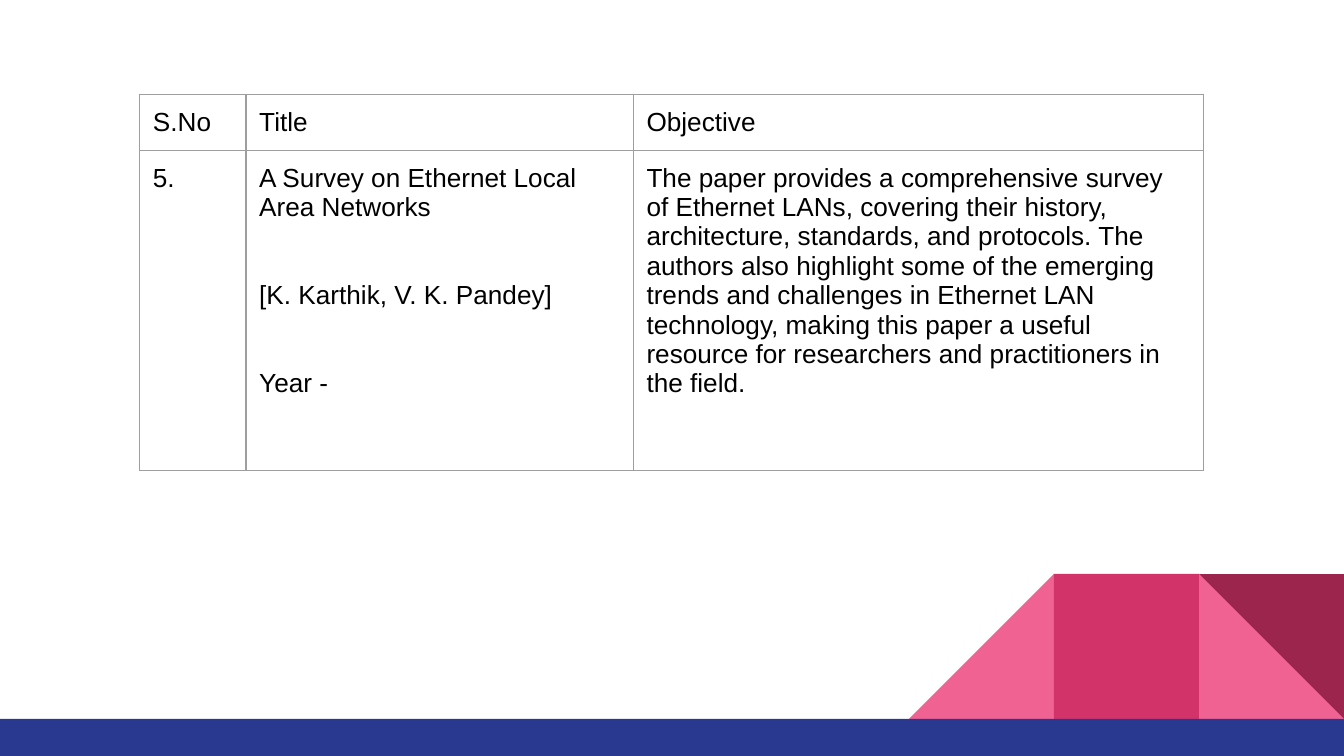
"""Build a literature survey slide with a paper table and a geometric footer."""
from dataclasses import dataclass

from lxml import etree
from pptx import Presentation
from pptx.dml.color import RGBColor
from pptx.enum.shapes import MSO_SHAPE
from pptx.oxml.ns import qn
from pptx.util import Cm, Pt

RECTANGLE = MSO_SHAPE.RECTANGLE
TRIANGLE = MSO_SHAPE.RIGHT_TRIANGLE

SLIDE_WIDTH, SLIDE_HEIGHT = 25.4, 14.29
TILE = 2.74
FLOOR_TOP = 13.59
TILE_TOP = FLOOR_TOP - TILE
TABLE_LEFT, TABLE_TOP = 2.64, 1.78
COLUMN_WIDTHS = (2.01, 7.32, 10.77)
ROW_HEIGHTS = (1.06, 6.05)
CELL_MARGIN = 0.25
FONT, FONT_SIZE = "Arial", 14
PARAGRAPH_GAP = 31.5
TEXT_COLOUR, BORDER_COLOUR = "000000", "9E9E9E"
BORDER_WIDTH = 0.75

PAPERS = (
    (("S.No",), ("Title",), ("Objective",)),
    (
        ("5.",),
        (
            "A Survey on Ethernet Local Area Networks",
            "[K. Karthik, V. K. Pandey]",
            "Year -",
        ),
        (
            "The paper provides a comprehensive survey of Ethernet LANs, covering "
            "their history, architecture, standards, and protocols. The authors also "
            "highlight some of the emerging trends and challenges in Ethernet LAN "
            "technology, making this paper a useful resource for researchers and "
            "practitioners in the field.",
        ),
    ),
)


@dataclass(frozen=True)
class Block:
    """A filled footer shape, measured in centimetres."""

    kind: int
    colour: str
    left: float
    top: float = TILE_TOP
    width: float = TILE
    height: float = TILE
    rotation: int = 0


BLOCKS = (
    Block(TRIANGLE, "F06292", SLIDE_WIDTH - TILE),
    Block(TRIANGLE, "F06292", SLIDE_WIDTH - 3 * TILE, rotation=270),
    Block(RECTANGLE, "D23369", SLIDE_WIDTH - 2 * TILE),
    Block(TRIANGLE, "9C254D", SLIDE_WIDTH - TILE, rotation=180),
    Block(RECTANGLE, "2A3990", 0, FLOOR_TOP, SLIDE_WIDTH, SLIDE_HEIGHT - FLOOR_TOP),
)


def colour_of(value: str) -> RGBColor:
    """Turn a hex string into a colour."""
    return RGBColor.from_string(value)


def draw_block(page, block: Block) -> None:
    """Draw one footer shape without outline or shadow."""
    shape = page.shapes.add_shape(
        block.kind, Cm(block.left), Cm(block.top), Cm(block.width), Cm(block.height)
    )
    shape.rotation = block.rotation
    shape.shadow.inherit = False
    shape.fill.solid()
    shape.fill.fore_color.rgb = colour_of(block.colour)
    shape.line.fill.background()


def add_borders(cell) -> None:
    """Rule all four sides of a cell."""
    properties = cell._tc.get_or_add_tcPr()
    for side in ("a:lnL", "a:lnR", "a:lnT", "a:lnB"):
        line = etree.SubElement(properties, qn(side), w=str(Pt(BORDER_WIDTH)))
        fill = etree.SubElement(line, qn("a:solidFill"))
        etree.SubElement(fill, qn("a:srgbClr"), val=BORDER_COLOUR)


def fill_cell(cell, lines: tuple[str, ...]) -> None:
    """Write the paragraphs of a cell and style it."""
    cell.margin_left = cell.margin_right = Cm(CELL_MARGIN)
    cell.margin_top = cell.margin_bottom = Cm(CELL_MARGIN)
    add_borders(cell)
    cell.fill.background()
    cell.text_frame.text = "\n".join(lines)
    for index, para in enumerate(cell.text_frame.paragraphs):
        para.font.name = FONT
        para.font.size = Pt(FONT_SIZE)
        para.font.color.rgb = colour_of(TEXT_COLOUR)
        if index:
            para.space_before = Pt(PARAGRAPH_GAP)


def draw_table(page) -> None:
    """Draw the table of surveyed papers."""
    table = page.shapes.add_table(
        len(ROW_HEIGHTS), len(COLUMN_WIDTHS), Cm(TABLE_LEFT), Cm(TABLE_TOP),
        Cm(sum(COLUMN_WIDTHS)), Cm(sum(ROW_HEIGHTS)),
    ).table
    table.first_row = False
    table.horz_banding = False
    for column, width in zip(table.columns, COLUMN_WIDTHS):
        column.width = Cm(width)
    for row, height, paper in zip(table.rows, ROW_HEIGHTS, PAPERS):
        row.height = Cm(height)
        for cell, lines in zip(row.cells, paper):
            fill_cell(cell, lines)


def main() -> None:
    """Build and save the deck."""
    deck = Presentation()
    deck.slide_width, deck.slide_height = Cm(SLIDE_WIDTH), Cm(SLIDE_HEIGHT)
    page = deck.slides.add_slide(deck.slide_layouts[6])
    for block in BLOCKS:
        draw_block(page, block)
    draw_table(page)
    deck.save("out.pptx")


if __name__ == "__main__":
    main()
